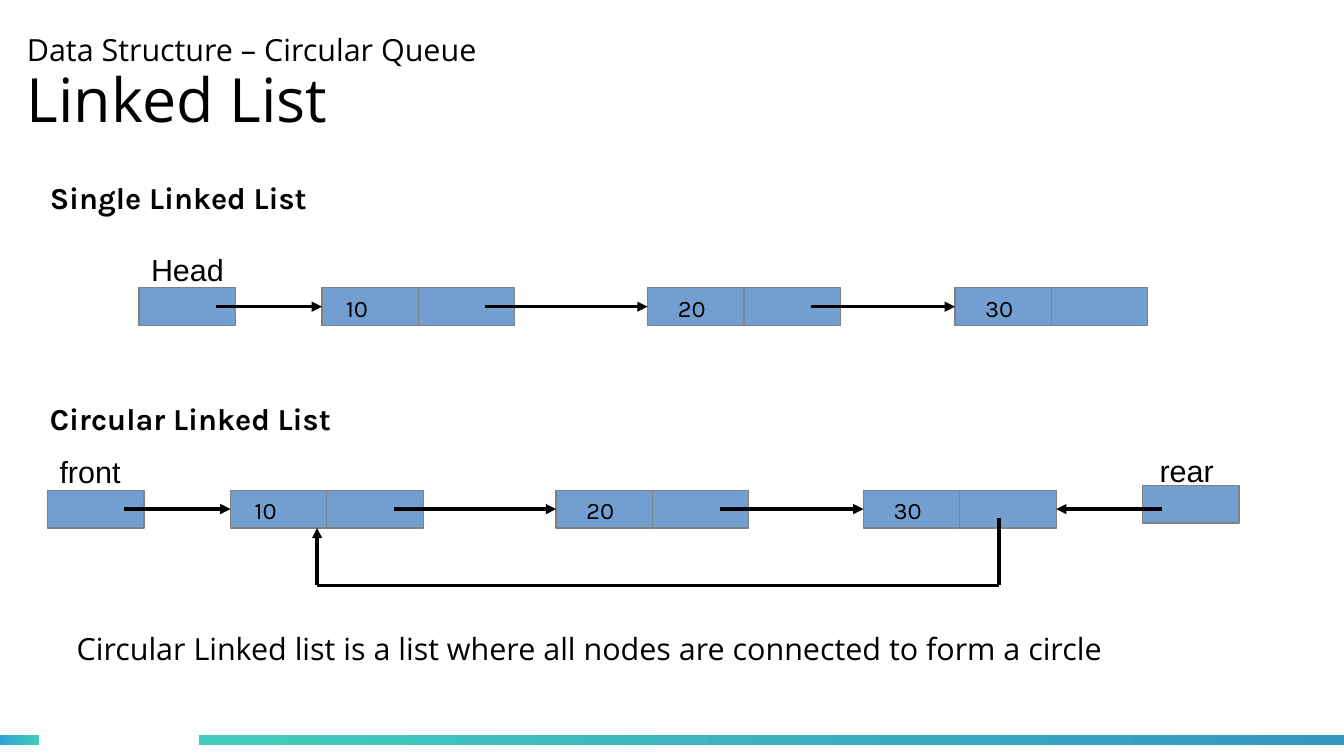
from dataclasses import dataclass

from lxml import etree
from pptx import Presentation
from pptx.dml.color import RGBColor
from pptx.enum.shapes import MSO_CONNECTOR, MSO_SHAPE
from pptx.enum.text import MSO_ANCHOR, MSO_AUTO_SIZE, PP_ALIGN
from pptx.oxml.ns import qn
from pptx.util import Inches, Pt

RECTANGLE = MSO_SHAPE.RECTANGLE
STRAIGHT = MSO_CONNECTOR.STRAIGHT
LEFT = PP_ALIGN.LEFT
MIDDLE = MSO_ANCHOR.MIDDLE
NO_AUTOFIT = MSO_AUTO_SIZE.NONE
LEFT_SIDE, RIGHT_SIDE = 1, 3


@dataclass(frozen=True)
class Theme:
    ink: RGBColor = RGBColor.from_string("000000")
    cell: RGBColor = RGBColor.from_string("729FCF")
    cell_line: RGBColor = RGBColor.from_string("808080")
    teal: RGBColor = RGBColor.from_string("43CCBD")
    sky: RGBColor = RGBColor.from_string("30A2D2")
    ocean: RGBColor = RGBColor.from_string("3497C1")
    title_font: str = "Open Sans"
    heading_font: str = "Karla"
    label_font: str = "Arial"
    title_size: int = 36
    text_size: int = 18
    value_size: int = 14


THEME = Theme()
CELL_WIDTH, CELL_HEIGHT = 0.79, 0.31
NODES = [("10", 1.5, 0.1), ("20", 4.17, 0.15), ("30", 6.69, 0.15)]
POINTER_START = 0.55
ENTRY_START = 0.63


def format_font(font, face, size, bold=False):
    values = {"name": face, "size": Pt(size), "bold": bold}
    for attribute, value in values.items():
        setattr(font, attribute, value)
    font.color.rgb = THEME.ink


def add_text(slide, box, text, face, size, bold=False, wrap=False):
    text_box = slide.shapes.add_textbox(*map(Inches, box))
    text_box.text_frame.word_wrap = wrap
    run = text_box.text_frame.paragraphs[0].add_run()
    run.text = text
    format_font(run.font, face, size, bold)


def add_cell(slide, left, top):
    cell = slide.shapes.add_shape(
        RECTANGLE, *map(Inches, (left, top, CELL_WIDTH, CELL_HEIGHT)))
    cell.shadow.inherit = False
    cell.fill.solid()
    cell.fill.fore_color.rgb = THEME.cell
    cell.line.color.rgb = THEME.cell_line
    cell.line.width = Pt(0)
    return cell


def add_link(slide, start, end, arrow=True, target=None, side=LEFT_SIDE):
    link = slide.shapes.add_connector(STRAIGHT, *map(Inches, start + end))
    link.line.color.rgb = THEME.ink
    link.line.width = Pt(0)
    if arrow:
        line = link.line._get_or_add_ln()
        etree.SubElement(line, qn("a:tailEnd"), type="triangle")
    etree.SubElement(link._element.spPr, qn("a:effectLst"))
    if target is not None:
        link.end_connect(target, side)


def add_title(slide, box):
    title = slide.shapes.title
    for attribute, length in zip(("left", "top", "width", "height"), box):
        setattr(title, attribute, Inches(length))
    frame_format = {
        "margin_left": 0, "margin_top": 0, "margin_right": 0,
        "margin_bottom": 0, "vertical_anchor": MIDDLE,
        "word_wrap": True, "auto_size": NO_AUTOFIT,
    }
    for attribute, value in frame_format.items():
        setattr(title.text_frame, attribute, value)
    paragraph = title.text_frame.paragraphs[0]
    paragraph.alignment = LEFT
    paragraph.line_spacing = 0.93
    topic = paragraph.add_run()
    topic.text = "Data Structure – Circular Queue"
    format_font(topic.font, THEME.title_font, THEME.text_size)
    paragraph.add_line_break()
    subject = paragraph.add_run()
    subject.text = "Linked List"
    format_font(subject.font, THEME.title_font, THEME.title_size)


def add_heading(slide, box, text):
    add_text(slide, box, text, THEME.heading_font, THEME.text_size,
             bold=True, wrap=True)


def add_entry_label(slide, box, text):
    add_text(slide, box, text, THEME.label_font, THEME.text_size)


def add_linked_list(slide, left, top, entry, entry_width):
    middle = top + CELL_HEIGHT / 2
    add_cell(slide, left, top)
    add_entry_label(slide, (left, top - 0.35, entry_width, 0.38), entry)
    link_start = left + ENTRY_START
    for value, offset, inset in NODES:
        node_left = left + offset
        data_cell = add_cell(slide, node_left, top)
        pointer_cell = add_cell(slide, node_left + CELL_WIDTH, top)
        add_text(slide, (node_left + inset, top, 0.44, 0.36), value,
                 THEME.heading_font, THEME.value_size)
        add_link(slide, (link_start, middle), (node_left, middle),
                 target=data_cell)
        link_start = node_left + CELL_WIDTH + POINTER_START
    return pointer_cell


def add_circular_list(slide, left, top):
    last_pointer = add_linked_list(slide, left, top, "front", 0.77)
    middle = top + CELL_HEIGHT / 2
    rear_left = left + 8.98
    add_cell(slide, rear_left, top - 0.04)
    add_entry_label(slide, (rear_left + 0.04, top - 0.36, 0.71, 0.38), "rear")
    add_link(slide, (rear_left + 0.16, middle), (left + 8.27, middle),
             target=last_pointer, side=RIGHT_SIDE)

    first_x, last_x, loop_y = left + 2.21, left + 7.8, top + 0.78
    loop = [(last_x, top + 0.23), (last_x, loop_y),
            (first_x, loop_y), (first_x, top + CELL_HEIGHT)]
    for start, end in zip(loop, loop[1:]):
        add_link(slide, start, end, arrow=end == loop[-1])


def add_footer(slide, top):
    bars = [(0, 0.32, THEME.sky, THEME.teal),
            (1.63, 9.39, THEME.teal, THEME.ocean)]
    for left, width, start_color, end_color in bars:
        bar = slide.shapes.add_shape(
            RECTANGLE, *map(Inches, (left, top, width, 0.08)))
        bar.shadow.inherit = False
        bar.line.fill.background()
        bar.fill.gradient()
        bar.fill.gradient_angle = 0
        for stop, color in zip(bar.fill.gradient_stops,
                               (start_color, end_color)):
            stop.color.rgb = color


def main():
    presentation = Presentation()
    presentation.slide_width = Inches(11.02)
    presentation.slide_height = Inches(6.2)
    slide = presentation.slides.add_slide(
        presentation.slide_layouts.get_by_name("Title Only"))

    add_footer(slide, 6.03)
    add_title(slide, (0.22, 0.08, 9.94, 1.24))
    add_heading(slide, (0.31, 1.42, 3.15, 0.44), "Single Linked List")
    add_linked_list(slide, 1.14, 2.36, "Head", 0.86)
    add_heading(slide, (0.31, 3.23, 3.15, 0.44), "Circular Linked List")
    add_circular_list(slide, 0.39, 4.02)
    add_text(slide, (0.53, 5.12, 9.43, 0.44),
             "Circular Linked list is a list where all nodes are connected "
             "to form a circle", THEME.title_font, THEME.text_size)
    presentation.save("out.pptx")


if __name__ == "__main__":
    main()
